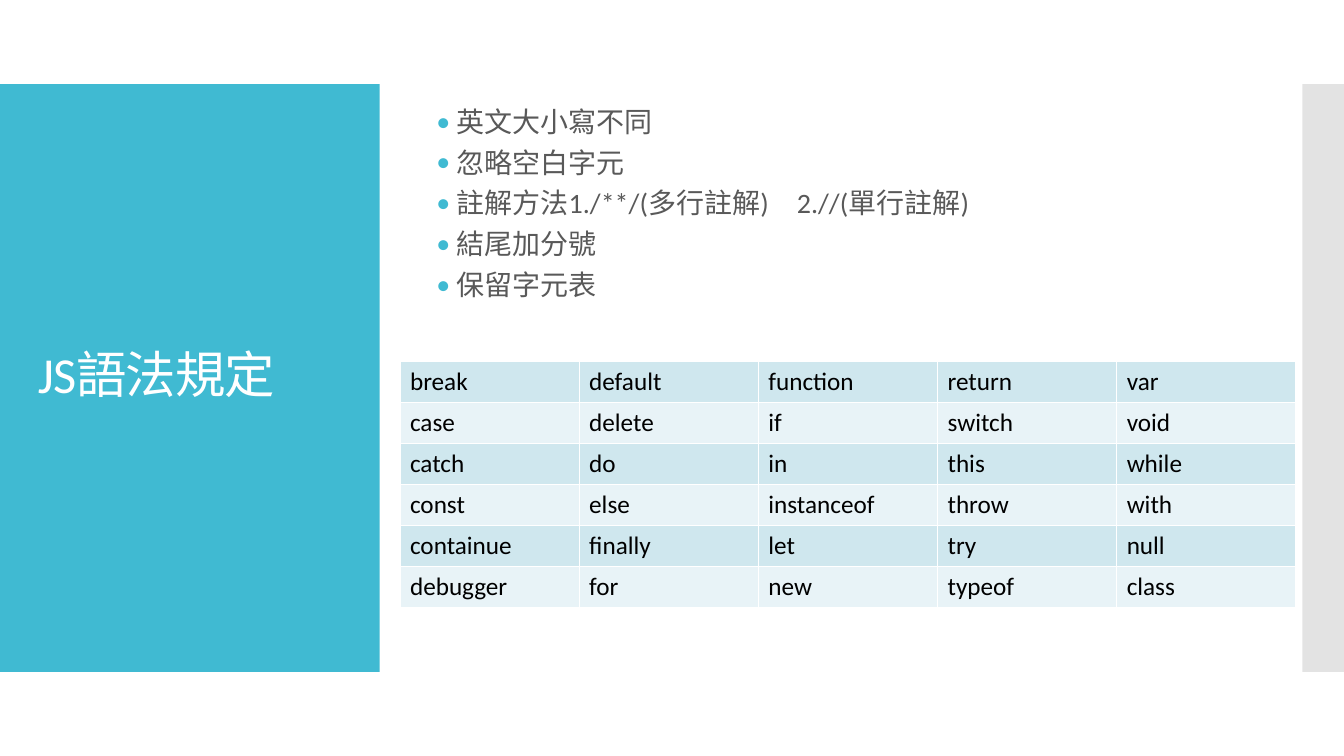
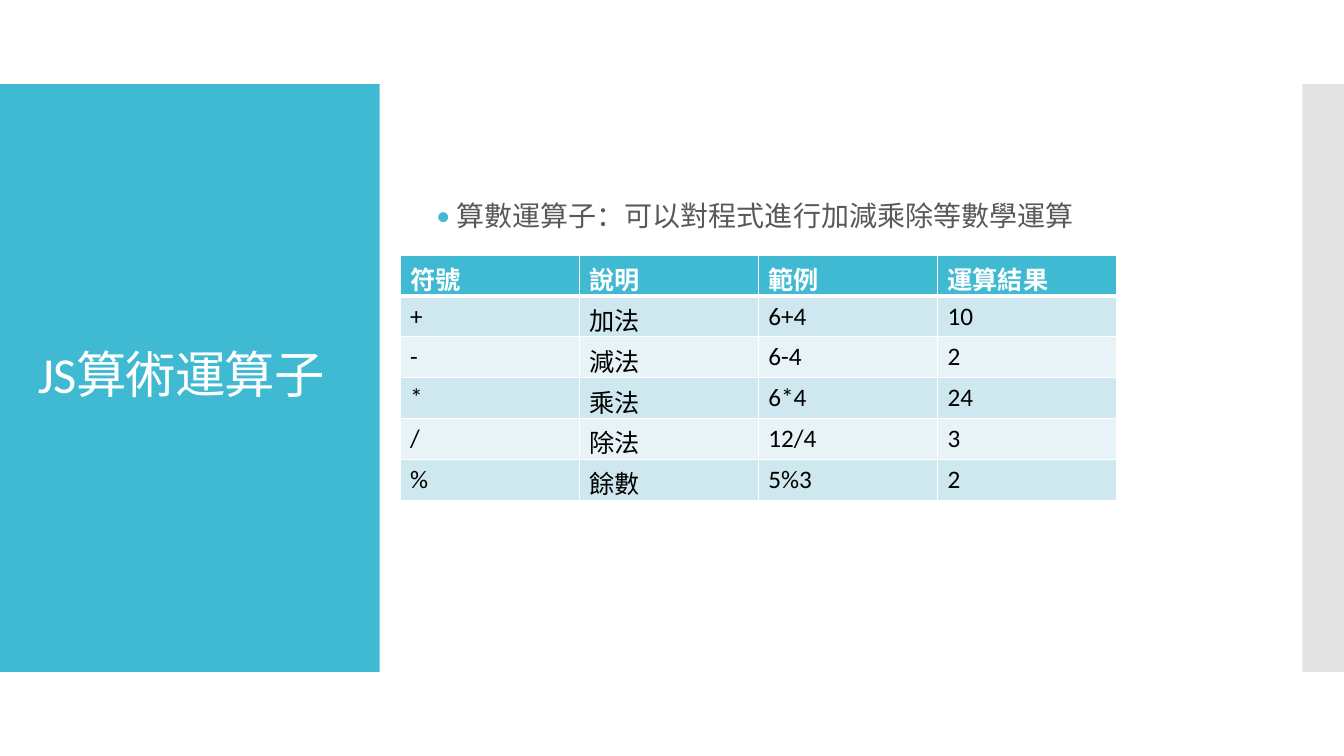
"""Build two slides on JS syntax rules and arithmetic operators."""
from dataclasses import dataclass

from lxml import etree
from pptx import Presentation
from pptx.dml.color import RGBColor
from pptx.enum.shapes import MSO_SHAPE
from pptx.enum.text import MSO_ANCHOR
from pptx.oxml.ns import qn
from pptx.util import Pt

RECT = MSO_SHAPE.RECTANGLE
TOP = MSO_ANCHOR.TOP
MIDDLE = MSO_ANCHOR.MIDDLE


@dataclass(frozen=True)
class Theme:
    """Colours, font and type sizes of the deck."""
    font: str = "Calibri"
    accent: str = "40BAD2"
    side: str = "C8C8C8"
    body: str = "595959"
    white: str = "FFFFFF"
    black: str = "000000"
    dark: str = "CFE7EE"
    light: str = "E8F3F7"
    title_size: float = 36
    body_size: float = 20
    cell_size: float = 18


THEME = Theme()
COL, ROW = 128, 29.2
TABLE_LEFT = 285.7

RULES = [
    "英文大小寫不同",
    "忽略空白字元",
    "註解方法1./**/(多行註解)　2.//(單行註解)",
    "結尾加分號",
    "保留字元表",
]
WORDS = [
    ["break", "default", "function", "return", "var"],
    ["case", "delete", "if", "switch", "void"],
    ["catch", "do", "in", "this", "while"],
    ["const", "else", "instanceof", "throw", "with"],
    ["containue", "finally", "let", "try", "null"],
    ["debugger", "for", "new", "typeof", "class"],
]
MATH = [
    ["符號", "說明", "範例", "運算結果"],
    ["+", "加法", "6+4", "10"],
    ["-", "減法", "6-4", "2"],
    ["*", "乘法", "6*4", "24"],
    ["/", "除法", "12/4", "3"],
    ["%", "餘數", "5%3", "2"],
]


def add_node(parent, tag, **attrs):
    """Append a drawing element with its attributes."""
    return etree.SubElement(parent, qn(tag), attrs)


def set_font(para, size, color, bold=False):
    """Style a whole paragraph."""
    font = para.font
    font.name, font.size, font.bold = THEME.font, Pt(size), bold
    font.color.rgb = RGBColor.from_string(color)
    return font


def add_band(slide, left, width, color, alpha=None):
    """Draw a full-height side band."""
    band = slide.shapes.add_shape(RECT, Pt(left), Pt(60), Pt(width), Pt(420))
    band.shadow.inherit = False
    band.line.fill.background()
    band.fill.solid()
    band.fill.fore_color.rgb = RGBColor.from_string(color)
    if alpha:
        fill = band._element.spPr.find(qn("a:solidFill"))
        add_node(fill[0], "a:alpha", val=str(alpha * 1000))


def add_box(slide, left, top, width, height, anchor):
    """Add a wrapping text box and return its frame."""
    box = slide.shapes.add_textbox(Pt(left), Pt(top), Pt(width), Pt(height))
    frame = box.text_frame
    frame.word_wrap = True
    frame.vertical_anchor = anchor
    return frame


def add_title(slide, text):
    """Write the title on the left band."""
    para = add_box(slide, 20, 88.5, 232, 362, MIDDLE).paragraphs[0]
    para.text = text
    para.line_spacing = 0.9
    font = set_font(para, THEME.title_size, THEME.white)
    font._rPr.set("spc", "-60")


def add_list(slide, items, top, height):
    """Write a bulleted list."""
    frame = add_box(slide, 304.6, top, 576, height, TOP)
    frame.text = "\n".join(items)
    for para in frame.paragraphs:
        para.line_spacing = 0.9
        para.space_after = Pt(7.5)
        props = para._p.get_or_add_pPr()
        props.set("marL", str(Pt(14.4)))
        props.set("indent", str(-Pt(14.4)))
        add_node(add_node(props, "a:buClr"), "a:srgbClr", val=THEME.accent)
        add_node(props, "a:buFont", typeface=THEME.font)
        add_node(props, "a:buChar", char="•")
        set_font(para, THEME.body_size, THEME.body)


def add_edges(cell, top, bottom):
    """Draw white borders around a cell."""
    props = cell._tc.get_or_add_tcPr()
    for side, width in zip("LRTB", (1, 1, top, bottom)):
        line = add_node(props, f"a:ln{side}", w=str(Pt(width)))
        fill = add_node(line, "a:solidFill")
        add_node(fill, "a:srgbClr", val=THEME.white)


def add_cell(cell, text, fill, color, bold, edges):
    """Fill and write one table cell."""
    add_edges(cell, *edges)
    cell.fill.solid()
    cell.fill.fore_color.rgb = RGBColor.from_string(fill)
    cell.text = text
    set_font(cell.text_frame.paragraphs[0], THEME.cell_size, color, bold)


def add_grid(slide, rows, top, header=False):
    """Add a banded table with an optional header row."""
    count, width = len(rows), len(rows[0])
    table = slide.shapes.add_table(
        count, width, Pt(TABLE_LEFT), Pt(top), Pt(COL * width), Pt(ROW * count)
    ).table
    table.first_row = header
    table.horz_banding = False
    for y, row in enumerate(rows):
        head = header and y == 0
        band = THEME.light if (y - header) % 2 else THEME.dark
        fill = THEME.accent if head else band
        color = THEME.white if head else THEME.black
        edges = (3 if header and y == 1 else 1, 3 if head else 1)
        for x, text in enumerate(row):
            add_cell(table.cell(y, x), text, fill, color, head, edges)


def add_page(deck, title):
    """Add a blank slide with the shared bands and title."""
    slide = deck.slides.add_slide(deck.slide_layouts[6])
    add_band(slide, 0, 271.2, THEME.accent)
    add_band(slide, 930.2, 29.8, THEME.side, 50)
    add_title(slide, title)
    return slide


def main():
    """Build and save the deck."""
    deck = Presentation()
    deck.slide_width, deck.slide_height = Pt(960), Pt(540)

    slide = add_page(deck, "JS語法規定")
    add_list(slide, RULES, 73.7, 180)
    add_grid(slide, WORDS, 258.5)

    slide = add_page(deck, "JS算術運算子")
    add_list(slide, ["算數運算子：可以對程式進行加減乘除等數學運算"], 140.8, 40)
    add_grid(slide, MATH, 182.2, header=True)

    deck.save("out.pptx")


if __name__ == "__main__":
    main()
